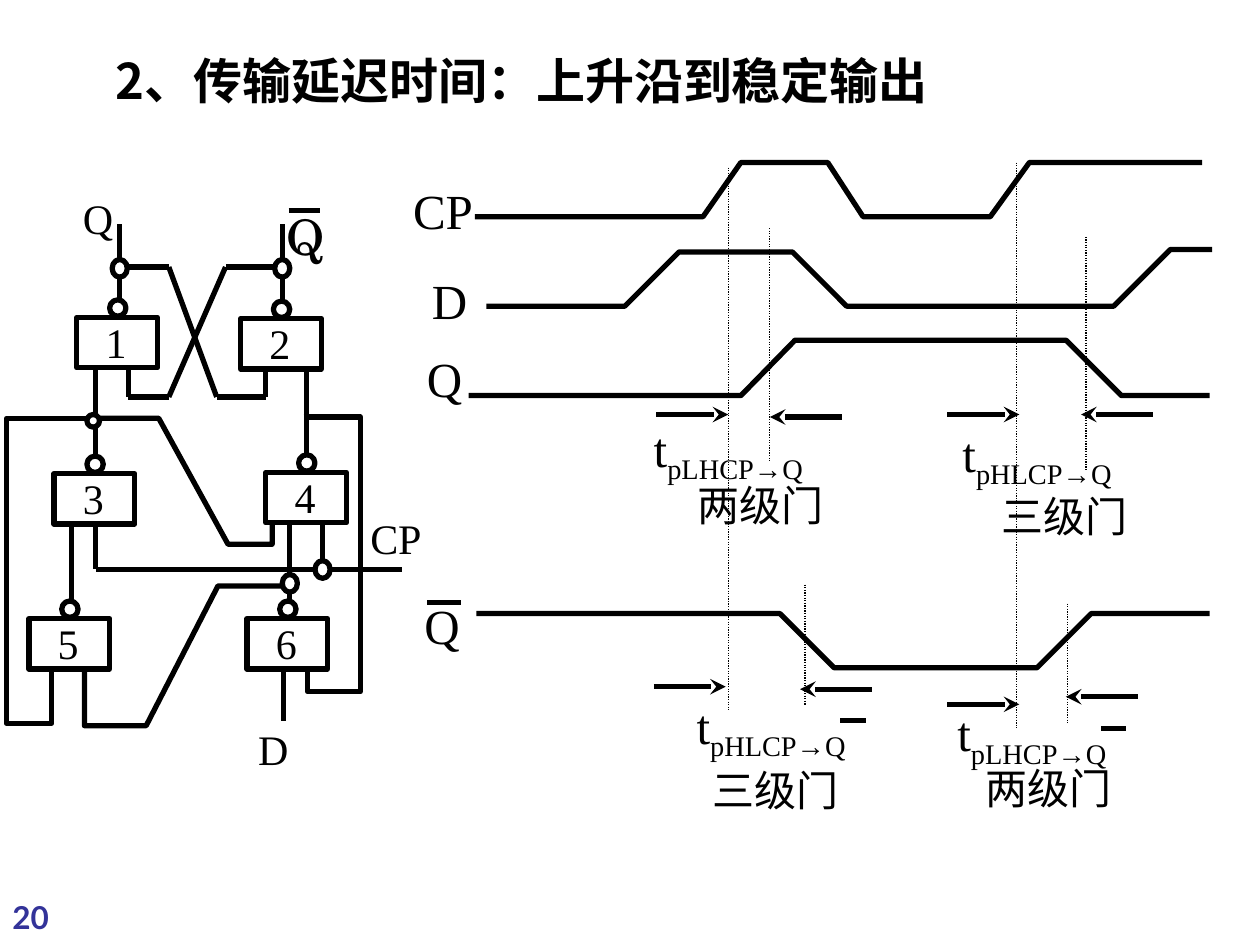
from lxml import etree
from pptx import Presentation
from pptx.dml.color import RGBColor
from pptx.enum.dml import MSO_LINE
from pptx.enum.shapes import MSO_CONNECTOR, MSO_SHAPE
from pptx.enum.text import MSO_ANCHOR, PP_ALIGN
from pptx.oxml.ns import qn
from pptx.util import Inches, Pt

STRAIGHT = MSO_CONNECTOR.STRAIGHT
RECT, OVAL = MSO_SHAPE.RECTANGLE, MSO_SHAPE.OVAL
DOTTED = MSO_LINE.ROUND_DOT
LEFT, TOP = PP_ALIGN.LEFT, MSO_ANCHOR.TOP

COLORS = {"ink": "000000", "paper": "FFFFFF", "number": "333399"}
SERIF, SANS = "Times New Roman", "Noto Sans CJK SC"

# Waveforms: points of each signal
WAVES = [
    [(3.77, 1.72), (5.58, 1.72), (5.88, 1.29), (6.57, 1.29), (6.85, 1.72),
     (7.86, 1.72), (8.17, 1.29), (9.54, 1.29)],
    [(3.86, 2.43), (4.96, 2.43), (5.39, 2), (6.29, 2), (6.72, 2.43),
     (8.84, 2.43), (9.29, 1.98), (9.62, 1.98)],
    [(3.72, 3.14), (5.88, 3.14), (6.31, 2.7), (8.46, 2.7), (8.9, 3.14), (9.6, 3.14)],
    [(3.78, 4.87), (6.19, 4.87), (6.62, 5.3), (8.23, 5.3), (8.66, 4.87), (9.6, 4.87)],
]
# Dotted time marks: x, top, bottom
MARKS = [(5.78, 1.33, 5.63), (6.11, 1.81, 3.67), (6.39, 4.64, 5.6),
         (8.07, 1.29, 5.78), (8.62, 1.88, 3.74), (8.47, 4.79, 5.75)]
# Delay arrows: tail x, head x, y
ARROWS = [(5.21, 5.78, 3.29), (6.68, 6.11, 3.31), (9.15, 8.58, 3.29), (7.52, 8.09, 3.29),
          (9.03, 8.46, 5.53), (7.52, 8.09, 5.59), (6.92, 6.35, 5.47), (5.19, 5.76, 5.45)]
# Bars over inverted signals: left, right, y
OVERBARS = [(3.39, 3.66, 4.78), (6.67, 6.87, 5.72), (8.74, 8.94, 5.78), (2.29, 2.54, 1.67)]
# Text: left, top, width, size, text
SIGNALS = [(3.18, 1.38, 1.01, 28, "CP"), (3.33, 2.1, 0.65, 28, "D"),
           (3.29, 2.72, 0.71, 28, "Q"), (3.27, 4.68, 0.71, 28, "Q"),
           (2.84, 4.02, 0.61, 24, "CP"), (1.95, 5.69, 0.44, 24, "D"),
           (0.56, 1.48, 0.46, 24, "Q")]
# Delays: left, top, subscript, then left and top of the gate count
DELAYS = [(5.09, 3.27, "pLHCP→Q", 5.44, 3.76, "两级门"),
          (7.54, 3.31, "pHLCP→Q", 7.85, 3.84, "三级门"),
          (5.43, 5.47, "pHLCP→Q", 5.56, 6.02, "三级门"),
          (7.5, 5.53, "pLHCP→Q", 7.72, 6, "两级门")]
# Gates: left, top of the box
GATES = [(0.61, 2.52), (1.91, 2.53), (0.43, 3.76), (2.11, 3.75), (0.23, 4.91), (1.96, 4.91)]
WIRES = [
    (0.95, 2.4, 0.95, 1.78), (2.24, 2.4, 2.24, 1.78),
    (0.95, 2.12, 1.34, 2.12), (2.24, 2.12, 1.79, 2.12),
    (0.76, 3.63, 0.76, 2.94), (2.43, 3.63, 2.43, 2.94),
    (2.3, 4.79, 2.3, 4.17), (0.57, 4.79, 0.57, 4.17), (2.25, 5.32, 2.25, 5.72),
    (0.76, 4.17, 0.76, 4.52), (0.76, 4.52, 3.19, 4.52), (2.56, 4.17, 2.56, 4.52),
    (1.02, 2.94, 1.02, 3.15), (2.11, 2.94, 2.11, 3.15), (1.02, 3.15, 1.34, 3.15),
    (1.79, 2.12, 1.34, 3.15), (2.11, 3.15, 1.72, 3.15), (1.34, 2.12, 1.72, 3.15),
]
FEEDBACK = [
    [(2.28, 4.65), (1.73, 4.65), (1.16, 5.76), (0.67, 5.76), (0.67, 5.31)],
    [(0.77, 3.32), (0.05, 3.32), (0.05, 5.74), (0.41, 5.74), (0.41, 5.31)],
    [(0.75, 3.32), (1.26, 3.32), (1.81, 4.32), (2.16, 4.32), (2.16, 4.15)],
    [(2.41, 3.31), (2.86, 3.31), (2.86, 5.49), (2.44, 5.49), (2.44, 5.29)],
]
# Junctions: left, top, width, height
NODES = [(2.24, 4.56, 0.12, 0.14), (2.5, 4.45, 0.12, 0.14), (2.18, 2.06, 0.12, 0.14),
         (0.89, 2.06, 0.12, 0.14), (0.69, 3.29, 0.1, 0.1)]


def rgb(name):
    return RGBColor.from_string(COLORS[name])


def set_line(shape, width=3):
    shape.line.color.rgb = rgb("ink")
    shape.line.width = Pt(width)


def add_run(p, text, size, font=SERIF, color="ink", bold=False, subscript=False):
    r = p.add_run()
    r.text = text
    r.font.size = Pt(size)
    r.font.name = font
    r.font.bold = bold
    r.font.color.rgb = rgb(color)
    rPr = r.font._element
    etree.SubElement(rPr, qn("a:ea")).set("typeface", SANS)
    if subscript:
        rPr.set("baseline", "-25000")


def add_box(s, x, y, w, h):
    """Add an empty text box and return its text frame."""
    tf = s.shapes.add_textbox(Inches(x), Inches(y), Inches(w), Inches(h)).text_frame
    tf.word_wrap = True
    return tf


def add_label(s, x, y, w, size, text, **style):
    tf = add_box(s, x, y, w, 0.57 if size == 28 else 0.5)
    add_run(tf.paragraphs[0], text, size, **style)
    return tf


def add_line(s, x1, y1, x2, y2, width=3):
    line = s.shapes.add_connector(STRAIGHT, Inches(x1), Inches(y1), Inches(x2), Inches(y2))
    set_line(line, width)
    etree.SubElement(line._element.spPr, qn("a:effectLst"))
    return line


def add_arrow(s, x1, x2, y):
    ln = add_line(s, x1, y, x2, y).line._get_or_add_ln()
    etree.SubElement(ln, qn("a:tailEnd")).set("type", "stealth")


def add_polyline(s, points):
    (x, y), *rest = [(Inches(px), Inches(py)) for px, py in points]
    builder = s.shapes.build_freeform(x, y)
    builder.add_line_segments(rest, close=False)
    shape = builder.convert_to_shape()
    shape.shadow.inherit = False
    shape.fill.background()
    set_line(shape)


def add_outline(s, kind, x, y, w, h, fill=None):
    shape = s.shapes.add_shape(kind, Inches(x), Inches(y), Inches(w), Inches(h))
    shape.shadow.inherit = False
    if fill:
        shape.fill.solid()
        shape.fill.fore_color.rgb = rgb(fill)
    else:
        shape.fill.background()
    set_line(shape)


def add_gate(s, number, x, y):
    """Add a gate box with its inversion bubble and number."""
    add_outline(s, RECT, x, y, 0.64, 0.4)
    add_outline(s, OVAL, x + 0.26, y - 0.14, 0.13, 0.13)
    add_label(s, x + 0.13, y - 0.06, 0.41, 24, str(number))


def add_title(s):
    title = s.shapes.title
    title.left, title.top = Inches(0.82), Inches(0.35)
    title.width, title.height = Inches(7.35), Inches(0.57)
    tf = title.text_frame
    tf.vertical_anchor = TOP
    p = tf.paragraphs[0]
    p.alignment = LEFT
    add_run(p, "2、传输延迟时间：上升沿到稳定输出", 28, font=SANS, bold=True)


def add_timing(s):
    for x, top, bottom in MARKS:
        add_line(s, x, top, x, bottom, 0.75).line.dash_style = DOTTED
    for points in WAVES:
        add_polyline(s, points)
    for arrow in ARROWS:
        add_arrow(s, *arrow)
    for x, y, subscript, count_x, count_y, count in DELAYS:
        tf = add_label(s, x, y, 2.1, 28, "t")
        add_run(tf.paragraphs[0], subscript, 28, subscript=True)
        add_label(s, count_x, count_y, 1.35, 24, count)


def add_circuit(s):
    for wire in WIRES:
        add_line(s, *wire)
    for points in FEEDBACK:
        add_polyline(s, points)
    for node in NODES:
        add_outline(s, OVAL, *node, fill="paper")
    for number, (x, y) in enumerate(GATES, 1):
        add_gate(s, number, x, y)


def add_signal_names(s):
    for signal in SIGNALS:
        add_label(s, *signal)
    tf = add_label(s, 2.27, 1.64, 0.32, 28, "Q", font="TeX Gyre Schola")
    tf.margin_left = tf.margin_right = tf.margin_top = tf.margin_bottom = 0
    for left, right, y in OVERBARS:
        add_line(s, left, y, right, y)


def main():
    prs = Presentation()
    prs.slide_width, prs.slide_height = Inches(10), Inches(7.5)
    s = prs.slides.add_slide(prs.slide_layouts[5])
    add_title(s)
    add_timing(s)
    add_circuit(s)
    add_signal_names(s)
    add_label(s, 0, 7.08, 0.99, 18, "20", font="Lato", color="number", bold=True)
    prs.save("out.pptx")


if __name__ == "__main__":
    main()
